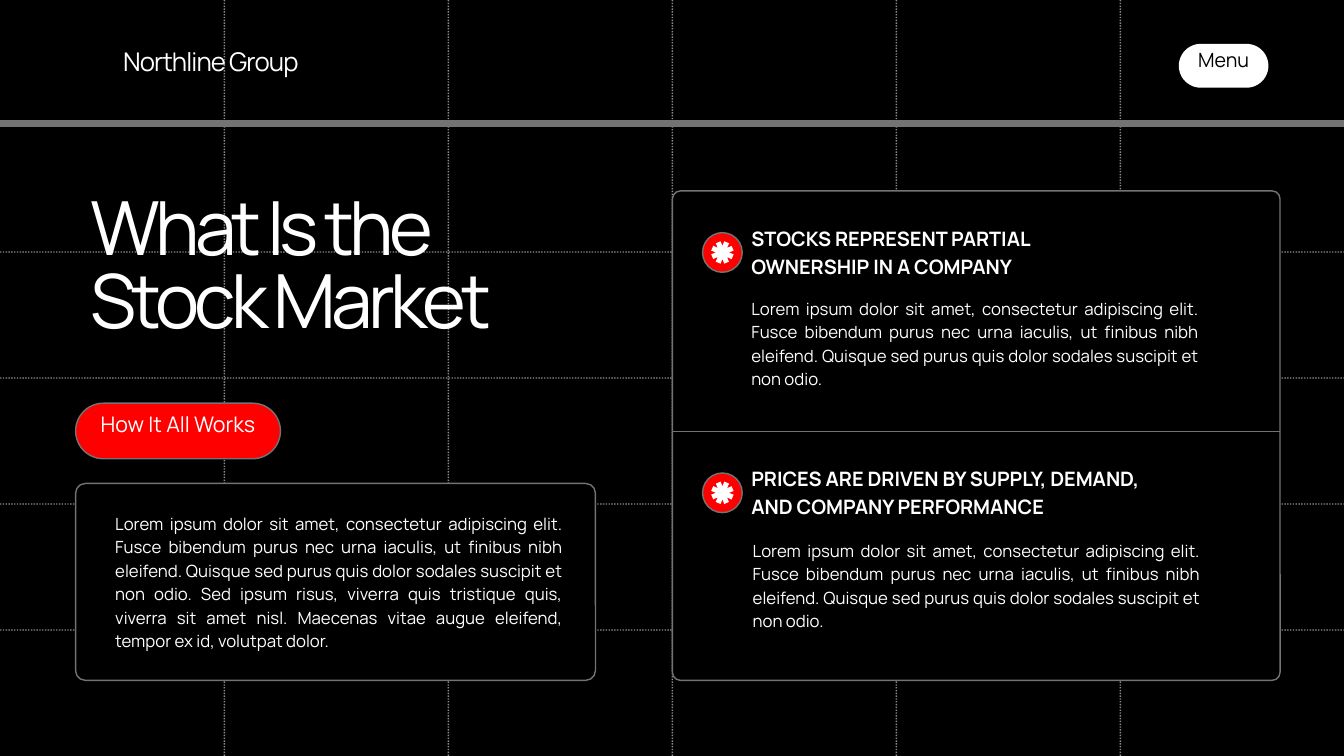
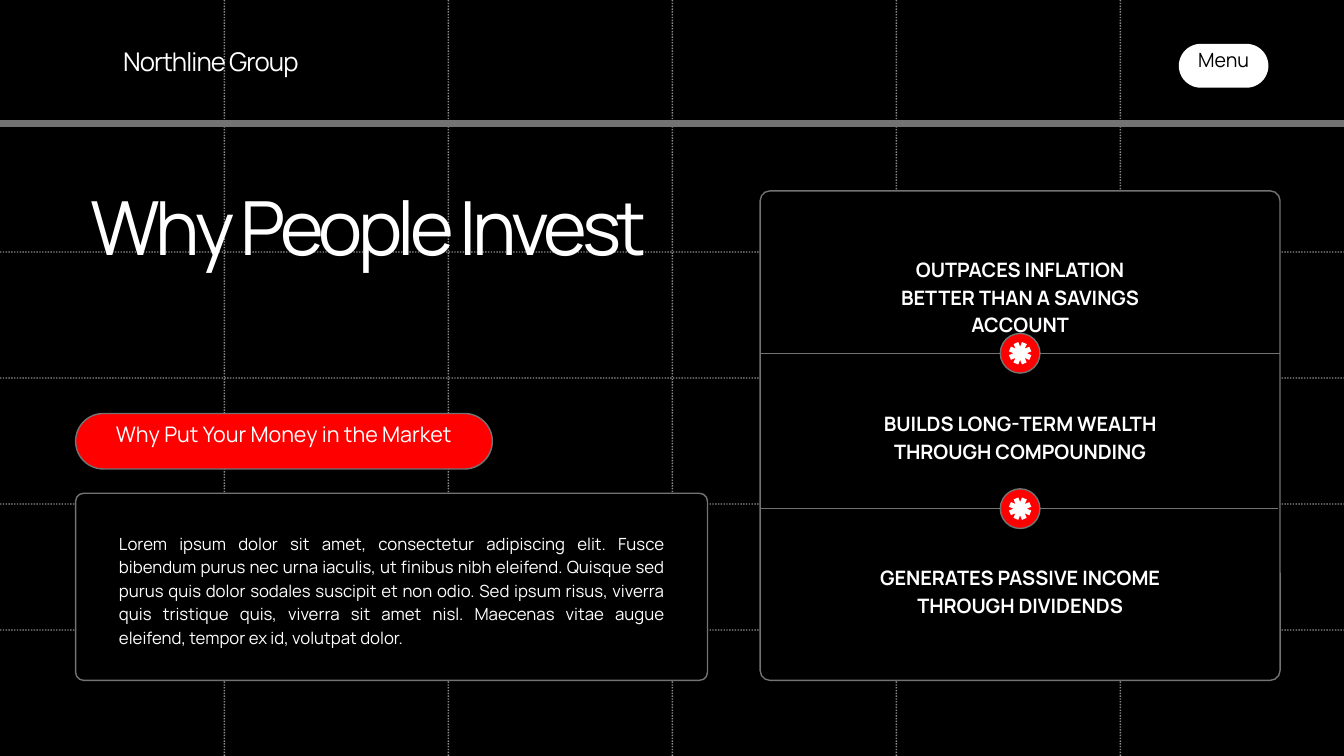
from lxml import etree
from pptx import Presentation
from pptx.dml.color import RGBColor
from pptx.enum.dml import MSO_LINE
from pptx.enum.shapes import MSO_CONNECTOR, MSO_SHAPE
from pptx.enum.text import MSO_ANCHOR, PP_ALIGN
from pptx.oxml.ns import qn
from pptx.util import Pt

ROUNDED = MSO_SHAPE.ROUNDED_RECTANGLE
STRAIGHT = MSO_CONNECTOR.STRAIGHT
DOTTED = MSO_LINE.ROUND_DOT
TOP, MIDDLE = MSO_ANCHOR.TOP, MSO_ANCHOR.MIDDLE
LEFT, CENTER, JUSTIFY = PP_ALIGN.LEFT, PP_ALIGN.CENTER, PP_ALIGN.JUSTIFY

color = RGBColor.from_string
BLACK, WHITE, RED, GRAY = "000000", "FFFFFF", "FF0000", "737373"
FONT = "Manrope"
WIDTH, HEIGHT = 1440, 810
COLUMN, ROW = 240, 135
BADGE = 42.5
PILL_HEIGHT = 59.5

# size, line spacing, tracking, bold, alignment, anchor, inset, color
STYLES = {
    "title": (80, 78.4, -510, False, LEFT, TOP, 0, WHITE),
    "company": (27.6, 38.6, -100, False, LEFT, TOP, 0, WHITE),
    "menu": (21, 29.4, 0, False, CENTER, MIDDLE, 4, BLACK),
    "pill": (23, 32.2, 0, False, CENTER, MIDDLE, 4, WHITE),
    "heading": (21.3, 29.8, 0, True, LEFT, TOP, 0, WHITE),
    "reason": (21.3, 29.8, 0, True, CENTER, TOP, 0, WHITE),
    "body": (18, 25.2, 0, False, JUSTIFY, TOP, 0, WHITE),
}

SHORT_BODY = (
    "Lorem ipsum dolor sit amet, consectetur adipiscing elit. Fusce bibendum "
    "purus nec urna iaculis, ut finibus nibh eleifend. Quisque sed purus quis "
    "dolor sodales suscipit et non odio."
)
LONG_BODY = SHORT_BODY + (
    " Sed ipsum risus, viverra quis tristique quis, viverra sit amet nisl. "
    "Maecenas vitae augue eleifend, tempor ex id, volutpat dolor."
)

STAR_QUARTER = [(7.2, -9.8), (4.9, -4.9), (9.8, -7), (12, -2), (7, 0), (12, 2)]
star_points = []
quarter = STAR_QUARTER
for turn in range(4):
    star_points += quarter
    quarter = [(-y, x) for x, y in quarter]

SLIDES = [
    {
        "pill": (81, 432, 219.5),
        "panels": [(720.5, 204.5, 651, 524.5, 8.6), (81, 518, 557, 211, 10.5)],
        "dividers": [(720.5, 1371.5, 462.5)],
        "badges": [(774, 270.5), (774, 528)],
        "texts": [
            ("What Is the Stock Market", "title", 97, 211, 522, 167),
            ("How It All Works", "pill", 81, 412, 219.5, 80),
            (LONG_BODY, "body", 123.5, 546.5, 479, 150),
            ("STOCKS REPRESENT PARTIAL OWNERSHIP IN A COMPANY",
             "heading", 805, 238.5, 364, 59),
            (SHORT_BODY, "body", 805, 316, 479, 100),
            ("PRICES ARE DRIVEN BY SUPPLY, DEMAND, AND COMPANY PERFORMANCE",
             "heading", 805, 496, 423, 59),
            (SHORT_BODY, "body", 806.5, 575.5, 479, 100),
        ],
    },
    {
        "pill": (81, 443, 446.5),
        "panels": [(814.5, 204.5, 557, 524.5, 10.5), (81, 528.5, 677, 200.5, 8.6)],
        "dividers": [(814.5, 1371.5, 378.5), (814.5, 1369, 545)],
        "badges": [(1093, 378.5), (1093, 545)],
        "texts": [
            ("Why People Invest", "title", 97, 211, 661, 89),
            ("Why Put Your Money in the Market", "pill", 81, 423, 446.5, 80),
            (LONG_BODY, "body", 127.5, 568, 584.5, 125),
            ("OUTPACES INFLATION BETTER THAN A SAVINGS ACCOUNT",
             "reason", 942, 271.5, 302, 58),
            ("BUILDS LONG-TERM WEALTH THROUGH COMPOUNDING",
             "reason", 942, 436.5, 302, 58),
            ("GENERATES PASSIVE INCOME THROUGH DIVIDENDS",
             "reason", 942, 602, 302, 58),
        ],
    },
]
HEADER_TEXTS = [
    ("Northline Group", "company", 132, 44, 263, 40),
    ("Menu", "menu", 1263, 29.5, 96, 64),
]


def add_rule(page, x1, y1, x2, y2, line_color=GRAY, weight=1.5, dotted=False):
    rule = page.shapes.add_connector(STRAIGHT, Pt(x1), Pt(y1), Pt(x2), Pt(y2))
    rule.line.color.rgb = color(line_color)
    rule.line.width = Pt(weight)
    if dotted:
        rule.line.dash_style = DOTTED
        fill = rule.line._ln.find(qn("a:solidFill"))
        etree.SubElement(fill[0], qn("a:alpha"), val="55000")
    etree.SubElement(rule._element.spPr, qn("a:effectLst"))


def add_panel(page, left, top, width, height, radius, fill=BLACK, outline=GRAY):
    panel = page.shapes.add_shape(ROUNDED, Pt(left), Pt(top), Pt(width), Pt(height))
    panel.adjustments[0] = radius / min(width, height)
    panel.shadow.inherit = False
    panel.fill.solid()
    panel.fill.fore_color.rgb = color(fill)
    if outline:
        panel.line.color.rgb = color(outline)
        panel.line.width = Pt(1.5)
    else:
        panel.line.fill.background()


deck = Presentation()
deck.slide_width, deck.slide_height = Pt(WIDTH), Pt(HEIGHT)

for content in SLIDES:
    page = deck.slides.add_slide(deck.slide_layouts[6])
    page.background.fill.solid()
    page.background.fill.fore_color.rgb = color(BLACK)

    for x in range(COLUMN, WIDTH, COLUMN):
        add_rule(page, x + 0.4, 0, x + 0.4, HEIGHT, WHITE, dotted=True)
    for y in range(ROW, HEIGHT, ROW):
        add_rule(page, 0, y, WIDTH, y, WHITE, dotted=True)
    add_rule(page, 0, 132.5, WIDTH, 132.5, weight=7.5)

    add_panel(page, 1263, 47, 96, 47, 23.5, WHITE, None)
    add_panel(page, *content["pill"], PILL_HEIGHT, PILL_HEIGHT / 2, RED)
    for panel_box in content["panels"]:
        add_panel(page, *panel_box)
    for start, end, y in content["dividers"]:
        add_rule(page, start, y, end, y)

    for x, y in content["badges"]:
        add_panel(page, x - BADGE / 2, y - BADGE / 2, BADGE, BADGE, BADGE / 2, RED)
        points = [(Pt(x + dx), Pt(y + dy)) for dx, dy in star_points]
        outline = page.shapes.build_freeform(*points[0])
        outline.add_line_segments(points[1:], close=True)
        star = outline.convert_to_shape()
        star.shadow.inherit = False
        star.fill.solid()
        star.fill.fore_color.rgb = color(WHITE)
        star.line.fill.background()

    for text, style, left, top, width, height in HEADER_TEXTS + content["texts"]:
        size, spacing, tracking, bold, align, anchor, inset, ink = STYLES[style]
        box = page.shapes.add_textbox(Pt(left), Pt(top), Pt(width), Pt(height))
        frame = box.text_frame
        frame.word_wrap = True
        frame.vertical_anchor = anchor
        frame.margin_left = frame.margin_right = Pt(inset)
        frame.margin_top = frame.margin_bottom = Pt(inset)
        frame.text = text
        para = frame.paragraphs[0]
        para.alignment = align
        para.line_spacing = Pt(spacing)
        span = para.runs[0]
        span.font.name = FONT
        span.font.size = Pt(size)
        span.font.bold = bold
        span.font.color.rgb = color(ink)
        if tracking:
            span.font._element.set("spc", str(tracking))

deck.save("out.pptx")
